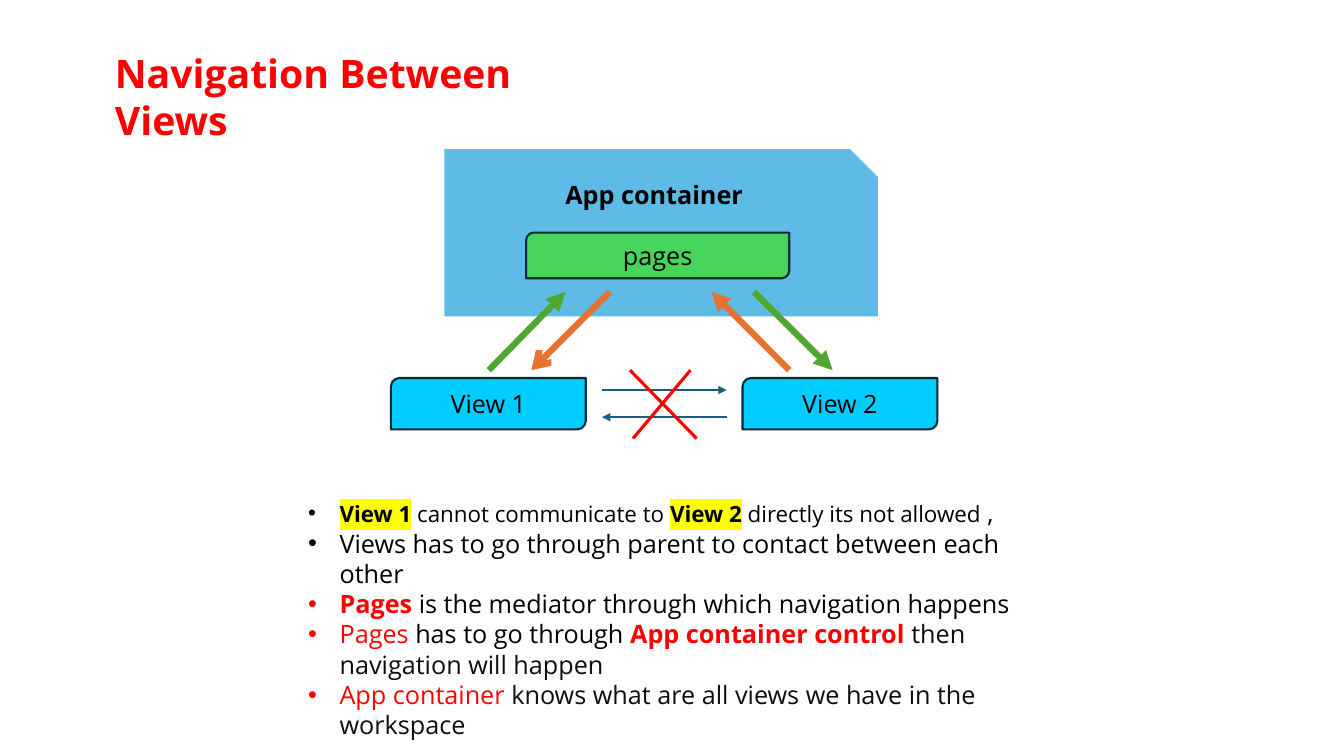
import lxml.etree
import pptx
import pptx.dml.color
import pptx.enum.shapes
import pptx.enum.text
import pptx.oxml.ns
import pptx.util

Pt = pptx.util.Pt
qn = pptx.oxml.ns.qn
KIND = pptx.enum.shapes.MSO_SHAPE
ALIGN = pptx.enum.text.PP_ALIGN
ANCHOR = pptx.enum.text.MSO_ANCHOR
RED, GREEN, ORANGE, BLACK, DARK = "FF0000", "4EA72E", "E97132", "000000", "0D0D0D"


def tint(code):
    return pptx.dml.color.RGBColor.from_string(code)


def add(node, tag, **attrs):
    return lxml.etree.SubElement(node, qn(tag), attrs)


class Board:
    """Holds the text style and the current slide, and draws each kind of element."""

    def __init__(self, slide, font):
        self.slide = slide
        self.font = font

    def label(self, para, text, size=18, color=BLACK, bold=False, mark=None):
        run = para.add_run()
        run.text = text
        for key, value in {"name": self.font, "size": Pt(size), "bold": bold}.items():
            setattr(run.font, key, value)
        run.font.color.rgb = tint(color)
        if mark:
            fill = run.font._element.find(qn("a:solidFill"))
            glow = lxml.etree.Element(qn("a:highlight"))
            add(glow, "a:srgbClr", val=mark)
            fill.addnext(glow)

    def block(self, kind, area, fill, text, edge=None, bold=False, frame=None):
        shape = self.slide.shapes.add_shape(kind, *map(Pt, area))
        shape.shadow.inherit = False
        shape.fill.solid()
        shape.fill.fore_color.rgb = tint(fill)
        if edge:
            shape.line.color.rgb = tint(edge)
            shape.line.width = Pt(1.5)
        else:
            shape.line.fill.background()
        form = {"word_wrap": True, "vertical_anchor": ANCHOR.MIDDLE, **(frame or {})}
        for key, value in form.items():
            setattr(shape.text_frame, key, value)
        para = shape.text_frame.paragraphs[0]
        para.alignment = ALIGN.CENTER
        self.label(para, text, bold=bold)

    def line(self, start, end, color, width, head=None):
        link = self.slide.shapes.add_connector(
            pptx.enum.shapes.MSO_CONNECTOR.STRAIGHT, *map(Pt, start + end))
        link.line.color.rgb = tint(color)
        link.line.width = Pt(width)
        props = link._element.spPr
        if head:
            add(props.find(qn("a:ln")), "a:tailEnd", type=head)
        add(props, "a:effectLst")

    def text(self, area, paras, bullet=False):
        frame = self.slide.shapes.add_textbox(*map(Pt, area)).text_frame
        frame.word_wrap = True
        for place, runs in enumerate(paras):
            para = frame.add_paragraph() if place else frame.paragraphs[0]
            if bullet:
                props = para._p.get_or_add_pPr()
                props.set("marL", str(Pt(22.5)))
                props.set("indent", str(-Pt(22.5)))
                add(props, "a:buFont", typeface="Arial")
                add(props, "a:buChar", char="•")
            for words, form in runs:
                self.label(para, words, **form)


def main():
    deck = pptx.Presentation()
    deck.slide_width, deck.slide_height = Pt(960), Pt(540)
    board = Board(deck.slides.add_slide(deck.slide_layouts[6]), "Open Sans")

    board.block(KIND.SNIP_1_RECTANGLE, (317.5, 106.5, 309.6, 119.5), "5DBBE5",
                "App container", bold=True,
                frame={"vertical_anchor": ANCHOR.TOP, "margin_top": Pt(11.5)})
    for area, fill, name in (
        ((375.8, 166.2, 188, 32.6), "47D45A", "pages"),
        ((279.2, 270, 139.2, 36.7), "00CCFF", "View 1"),
        ((530.4, 270, 139.2, 36.7), "00CCFF", "View 2"),
    ):
        board.block(KIND.ROUND_2_DIAG_RECTANGLE, area, fill, name, edge="092A39")

    left, right = 430, 519
    board.line((left, 278.6), (right, 278.6), "156082", 1.5, "triangle")
    board.line((right, 298), (left, 298), "156082", 1.5, "triangle")

    low, high = 264.4, 208.5
    board.line((493.2, low), (452.2, 313.2), RED, 2.25)
    for start, end, color, head in (
        ((349.2, low), (404, high), GREEN, "triangle"),
        ((435.6, high), (379.6, low), ORANGE, "arrow"),
        ((563.8, low), (508.2, high), ORANGE, "triangle"),
        ((538.6, high), (594.8, low), GREEN, "triangle"),
    ):
        board.line(start, end, color, 4.5, head)
    board.line((450, low), (497.6, 313.2), RED, 2.25)

    view = {"size": 16, "bold": True, "mark": "FFFF00"}
    small = {"size": 16}
    strong = {"color": RED, "bold": True}
    red, dark = {"color": RED}, {"color": DARK}
    board.text((213, 352, 548, 138.4), [
        [("View 1", view), (" cannot communicate to ", small), ("View 2", view),
         (" directly its not allowed", small), (" ,", {})],
        [("Views has to go through parent to contact between each other", {})],
        [("Pages", strong), (" is the mediator through which navigation happens", {})],
        [("Pages", red), (" has to go through ", {}), ("App container control ", strong),
         ("then navigation will happen", dark)],
        [("App container", red),
         (" knows what are all views we have in the workspace", dark)],
    ], bullet=True)
    board.text((75, 31.7, 360, 41), [
        [("Navigation Between Views", {"size": 28, "color": RED, "bold": True})]])
    deck.save("out.pptx")


if __name__ == "__main__":
    main()
